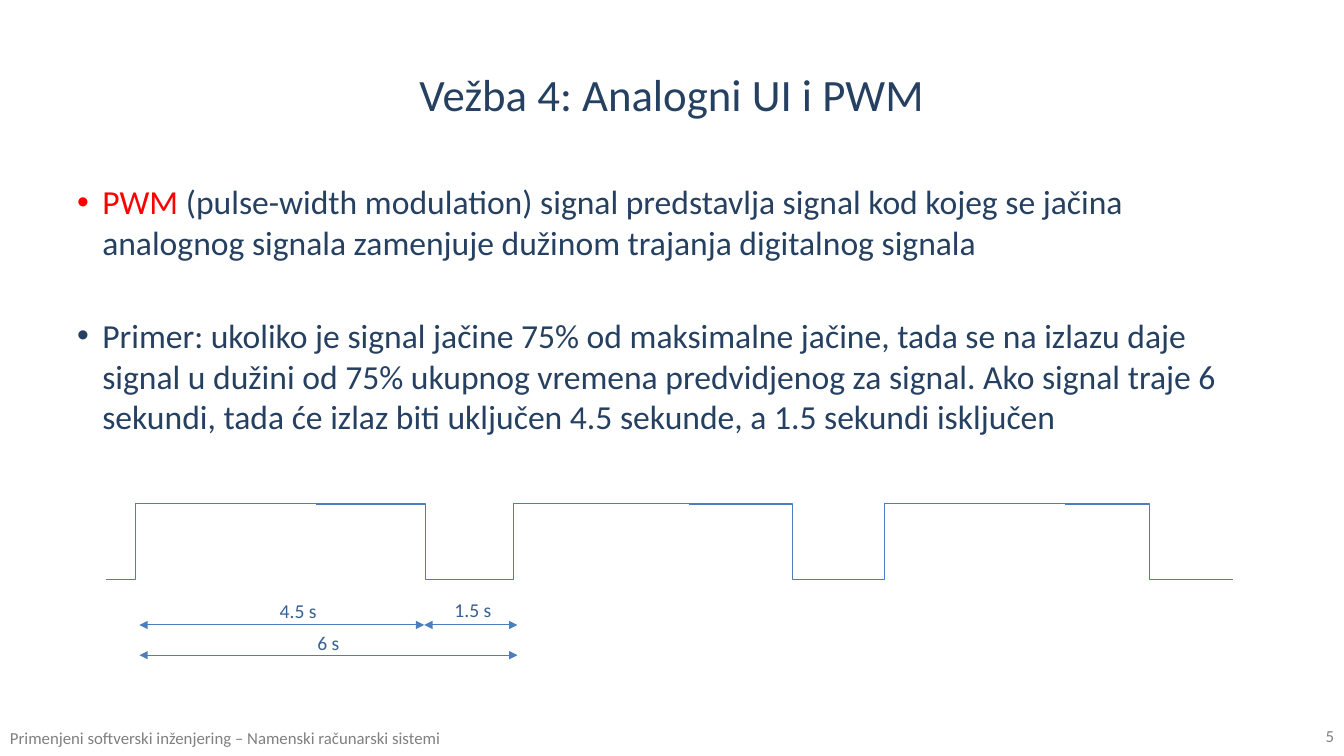
from dataclasses import dataclass

from lxml import etree
from pptx import Presentation
from pptx.dml.color import RGBColor as Rgb
from pptx.enum.shapes import MSO_CONNECTOR as Link
from pptx.enum.text import MSO_ANCHOR as Anchor, PP_ALIGN as Align
from pptx.oxml.ns import qn
from pptx.util import Emu, Inches, Pt

# Grid: 160 columns by 90 rows of square cells
COLUMNS, ROWS = 160, 90
CELL = Inches(7.5) / ROWS


def cells(count: float) -> Emu:
    return Emu(round(count * CELL))


@dataclass(frozen=True)
class Theme:
    font: str = "Calibri"
    navy: str = "254061"
    red: str = "FF0000"
    label: str = "376092"
    grey: str = "808080"
    line: str = "4B7EBC"
    title_size: float = 32
    body_size: float = 24
    label_size: float = 14
    footer_size: float = 12
    line_width: float = 0.75


THEME = Theme()


@dataclass(frozen=True)
class Caption:
    text: str
    col: float
    row: float
    cols: float
    rows: float
    size: float
    color: str
    align: Align = Align.CENTER
    anchor: Anchor = Anchor.MIDDLE


@dataclass(frozen=True)
class Pulse:
    rise_col: float
    fall_col: float
    fall_bend: float  # share of the falling connector's width


@dataclass(frozen=True)
class Span:
    start: float
    end: float
    row: float


# Content
def duration(text: str, col: float, row: float) -> Caption:
    return Caption(text, col, row, 11, 4, THEME.label_size, THEME.label,
                   anchor=Anchor.TOP)


CAPTIONS = [
    Caption("Primenjeni softverski inženjering – Namenski računarski sistemi",
            0, 85.4, 92, 4.8, THEME.footer_size, THEME.grey, Align.LEFT),
    Caption("5", 122.7, 85.2, 37.3, 4.8, THEME.footer_size, THEME.grey, Align.RIGHT),
    Caption("Vežba 4: Analogni UI i PWM", 8, 3.6, 144, 15,
            THEME.title_size, THEME.navy),
    duration("4.5 s", 30, 70.7),
    duration("1.5 s", 50.8, 70.6),
    duration("6 s", 33.6, 74.5),
]

BULLETS = [
    [("PWM", THEME.red),
     (" (pulse-width modulation) signal predstavlja signal kod kojeg se jačina "
      "analognog signala zamenjuje dužinom trajanja digitalnog signala", THEME.navy)],
    [("Primer: ukoliko je signal jačine 75% od maksimalne jačine, tada se na izlazu "
      "daje signal u dužini od 75% ukupnog vremena predvidjenog za signal. Ako signal "
      "traje 6 sekundi, tada će izlaz biti uključen 4.5 sekunde, a 1.5 sekundi "
      "isključen", THEME.navy)],
]
BULLET_GAP = 38

HIGH_ROW, LOW_ROW = 60, 69
RISE_COLS, FALL_COLS, RISE_BEND = 25, 20, 0.14
PULSES = [Pulse(12.6, 37.6, 0.65), Pulse(57.6, 82, 0.62), Pulse(101.8, 126.8, 0.5)]

ON_START, ON_END, PERIOD_END = 16.6, 50.5, 61.6
SPANS = [Span(ON_START, PERIOD_END, 78), Span(ON_START, ON_END, 74.4),
         Span(ON_END, PERIOD_END, 74.4)]


# Drawing
def add_box(slide, col: float, row: float, cols: float, rows: float):
    frame = slide.shapes.add_textbox(
        cells(col), cells(row), cells(cols), cells(rows)).text_frame
    frame.word_wrap = True
    return frame


def draw_caption(slide, caption: Caption) -> None:
    frame = add_box(slide, caption.col, caption.row, caption.cols, caption.rows)
    frame.vertical_anchor = caption.anchor
    line = frame.paragraphs[0]
    line.text = caption.text
    line.alignment = caption.align
    line.font.name = THEME.font
    line.font.size = Pt(caption.size)
    line.font.color.rgb = Rgb.from_string(caption.color)


def draw_bullets(slide) -> None:
    frame = add_box(slide, 8, 21, 144, 59.4)
    for index, parts in enumerate(BULLETS):
        point = frame.add_paragraph() if index else frame.paragraphs[0]
        point.font.name = THEME.font
        point.font.size = Pt(THEME.body_size)
        point.space_before = Pt(BULLET_GAP if index else 0)
        for text, color in parts:
            run = point.add_run()
            run.text = text
            run.font.color.rgb = Rgb.from_string(color)
        # Hanging bullet
        settings = point._p.get_or_add_pPr()
        settings.set("marL", str(Inches(0.25)))
        settings.set("indent", str(-Inches(0.25)))
        bullet_font = etree.Element(qn("a:buFont"), typeface="Arial")
        bullet = etree.Element(qn("a:buChar"), char="•")
        settings.find(qn("a:spcBef")).addnext(bullet_font)
        bullet_font.addnext(bullet)


def add_line(slide, kind: Link, start: tuple[float, float], end: tuple[float, float]):
    line = slide.shapes.add_connector(kind, *map(cells, start + end))
    line.line.color.rgb = Rgb.from_string(THEME.line)
    line.line.width = Pt(THEME.line_width)
    etree.SubElement(line._element.spPr, qn("a:effectLst"))
    return line


def draw_step(slide, start: tuple[float, float], end: tuple[float, float],
              bend: float) -> None:
    step = add_line(slide, Link.ELBOW, start, end)
    geometry = step._element.spPr.find(qn("a:prstGeom"))
    guides = geometry.find(qn("a:avLst"))
    if guides is None:
        guides = etree.SubElement(geometry, qn("a:avLst"))
    etree.SubElement(guides, qn("a:gd"), name="adj1", fmla=f"val {round(bend * 100000)}")


def draw_pulse(slide, pulse: Pulse) -> None:
    draw_step(slide, (pulse.rise_col, LOW_ROW),
              (pulse.rise_col + RISE_COLS, HIGH_ROW), RISE_BEND)
    draw_step(slide, (pulse.fall_col, HIGH_ROW),
              (pulse.fall_col + FALL_COLS, LOW_ROW), pulse.fall_bend)


def draw_span(slide, span: Span) -> None:
    arrow = add_line(slide, Link.STRAIGHT, (span.start, span.row), (span.end, span.row))
    outline = arrow.line._get_or_add_ln()
    for tip in ("a:headEnd", "a:tailEnd"):
        etree.SubElement(outline, qn(tip), type="triangle")


def main() -> None:
    deck = Presentation()
    deck.slide_width, deck.slide_height = cells(COLUMNS), cells(ROWS)
    slide = deck.slides.add_slide(deck.slide_layouts[6])
    draw_bullets(slide)
    for pulse in PULSES:
        draw_pulse(slide, pulse)
    for span in SPANS:
        draw_span(slide, span)
    for caption in CAPTIONS:
        draw_caption(slide, caption)
    deck.save("out.pptx")


if __name__ == "__main__":
    main()
